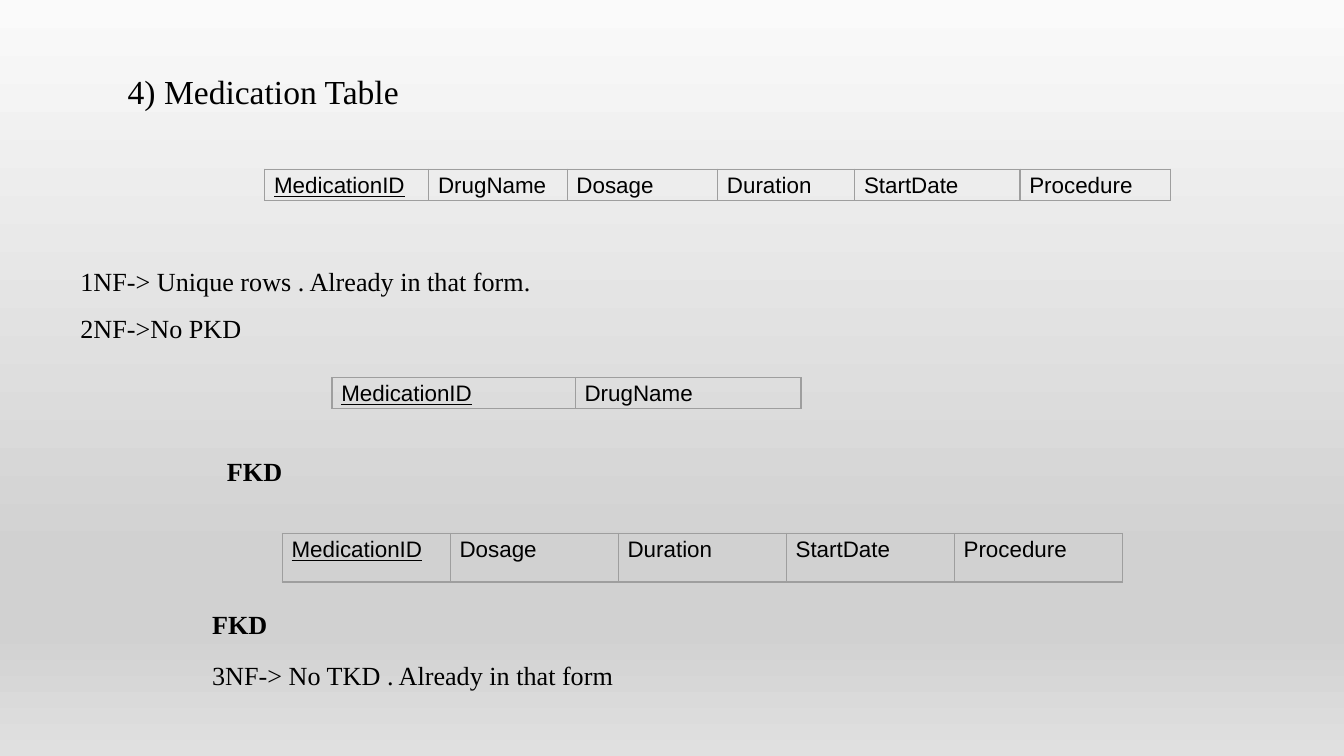
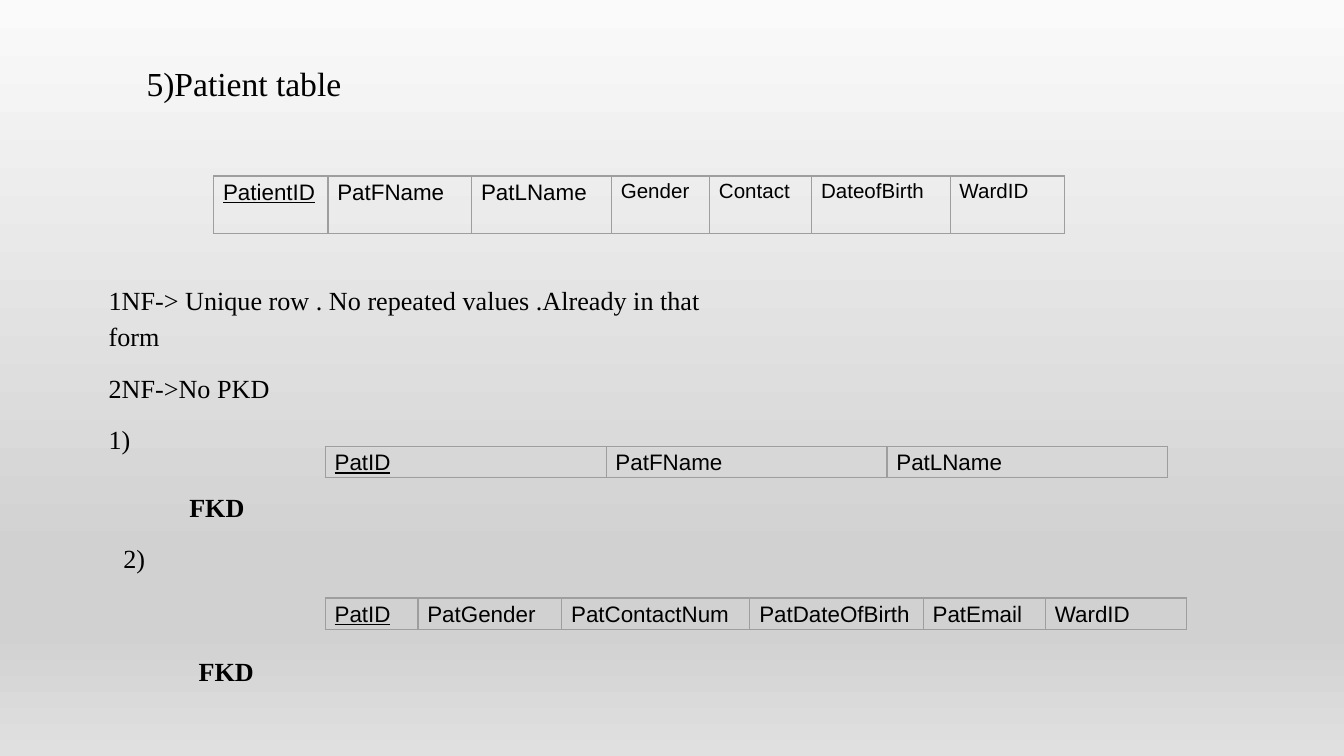
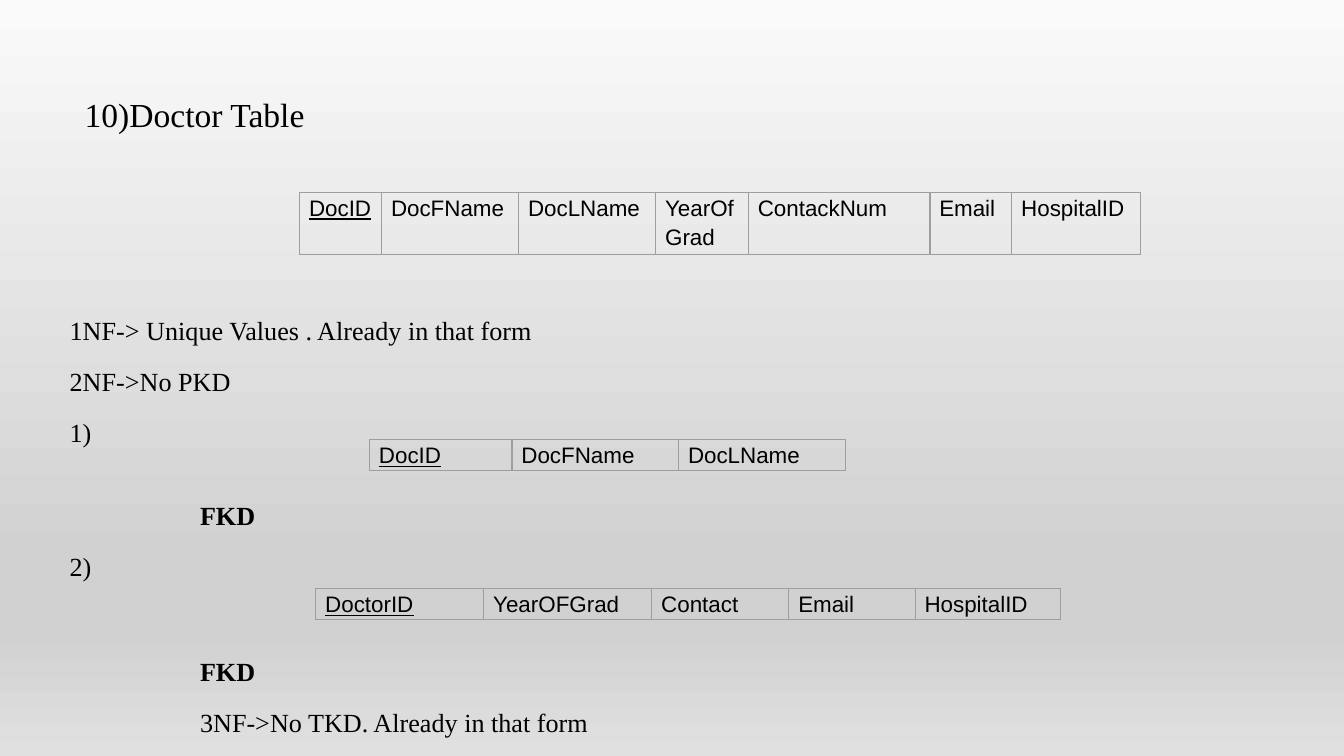
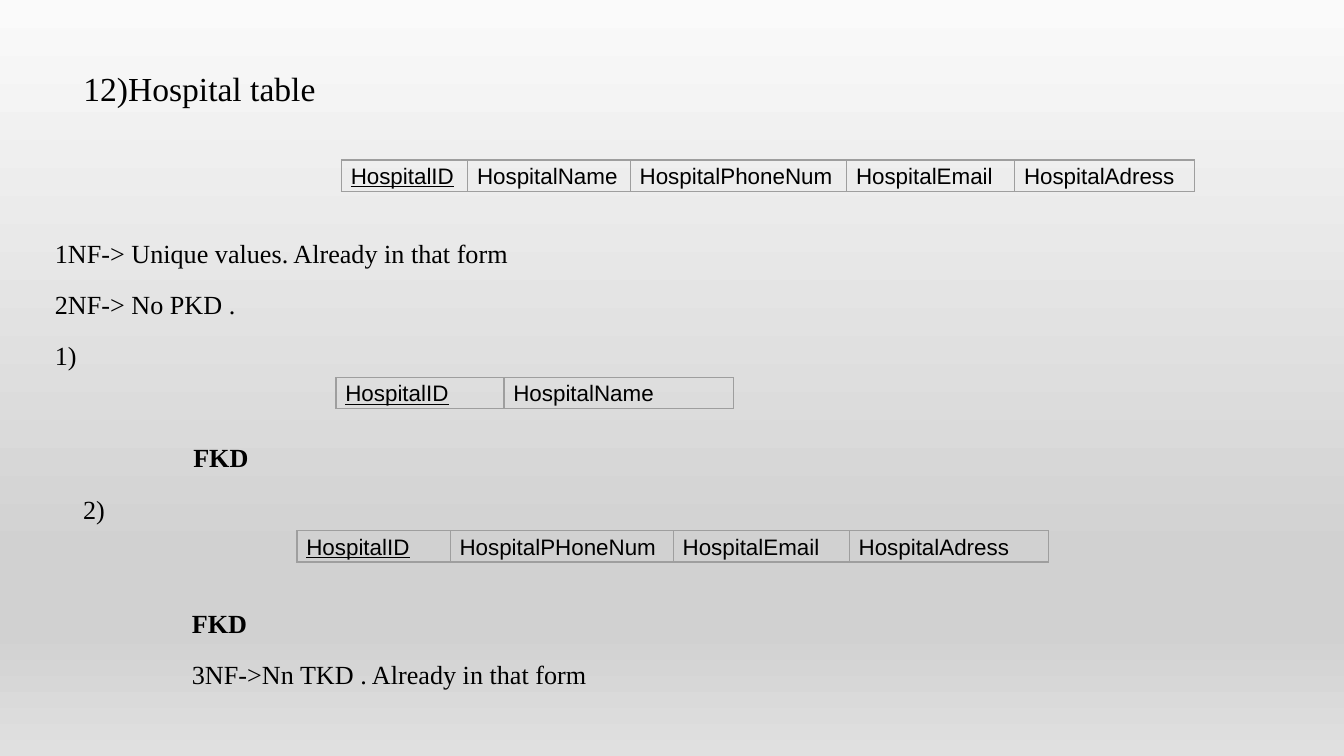
"""Builds four slides that normalise the tables of a hospital database."""
from dataclasses import dataclass

from lxml.etree import SubElement
from pptx import Presentation
from pptx.dml.color import RGBColor
from pptx.enum.text import MSO_ANCHOR as Anchor, MSO_AUTO_SIZE as AutoSize, PP_ALIGN as Align
from pptx.oxml.ns import qn
from pptx.util import Inches, Pt


@dataclass(frozen=True)
class Theme:
    text: RGBColor = RGBColor(0, 0, 0)
    border: str = "9E9E9E"
    background: tuple = ((0, "FAFAFA"), (74, "D1D1D1"), (83, "D1D1D1"), (100, "E0E0E0"))
    body_font: str = "Times New Roman"
    cell_font: str = "Arial"
    title_size: int = 18
    body_size: int = 14
    cell_size: int = 12
    small_cell_size: int = 11
    line_spacing: float = 1.16
    space_after: int = 8
    border_width: float = 0.75


theme = Theme()


def write_line(paragraph, text, font_name, size, bold=False, underline=False):
    """Add one styled run to a left-aligned paragraph."""
    paragraph.alignment = Align.LEFT
    paragraph.line_spacing = theme.line_spacing
    run = paragraph.add_run()
    run.text = text
    run.font.name = font_name
    run.font.size = Pt(size)
    run.font.bold = bold
    run.font.underline = underline
    run.font.color.rgb = theme.text


def add_relation(slide, left, top, height, columns, small_from=99):
    """Add a one-row table of attributes whose first one is the underlined key."""
    width = sum(column_width for name, column_width in columns)
    table = slide.shapes.add_table(
        1, len(columns), Inches(left), Inches(top), Inches(width), Inches(height)).table
    table.first_row = table.horz_banding = False
    table.rows[0].height = Inches(height)
    for index, (name, column_width) in enumerate(columns):
        table.columns[index].width = Inches(column_width)
        cell = table.cell(0, index)
        cell.margin_left = cell.margin_right = Inches(0.07)
        cell.margin_top = cell.margin_bottom = 0
        size = theme.cell_size if index < small_from else theme.small_cell_size
        write_line(cell.text_frame.paragraphs[0], name, theme.cell_font, size,
                   underline=index == 0)
        properties = cell._tc.get_or_add_tcPr()
        for side in ("a:lnL", "a:lnR", "a:lnT", "a:lnB"):
            line = SubElement(properties, qn(side), w=str(Pt(theme.border_width)))
            SubElement(SubElement(line, qn("a:solidFill")), qn("a:srgbClr"), val=theme.border)
        cell.fill.background()


FKD = ("FKD", True, 0)

slides = [
    {
        "title": ("4) Medication Table", 0.85, 0.43, 2.26),
        "relations": [
            (1.97, 1.26, 0.22, [("MedicationID", 1.22), ("DrugName", 1.03), ("Dosage", 1.12),
                                ("Duration", 1.02), ("StartDate", 1.23), ("Procedure", 1.12)]),
            (2.47, 2.81, 0.22, [("MedicationID", 1.81), ("DrugName", 1.68)]),
            (2.1, 3.97, 0.36, [(name, 1.25) for name in (
                "MedicationID", "Dosage", "Duration", "StartDate", "Procedure")]),
        ],
        "notes": [
            (0.5, 1.89, 5, 0.72, [("1NF-> Unique rows . Already in that form.", False, 0),
                                  ("2NF->No PKD", False, 0, 1.0)]),
            (1.59, 3.3, 0.62, 0.36, [FKD]),
            (1.48, 4.44, 5, 0.74, [FKD, ("3NF-> No TKD . Already in that form", False, 0)]),
        ],
    },
    {
        "title": ("5)Patient table", 0.99, 0.37, 1.67),
        "relations": [
            (1.59, 1.31, 0.43, [("PatientID", 0.85), ("PatFName", 1.07), ("PatLName", 1.04),
                                ("Gender", 0.73), ("Contact", 0.76), ("DateofBirth", 1.03),
                                ("WardID", 0.85)], 3),
            (2.42, 3.32, 0.22, [("PatID", 2.09), ("PatFName", 2.09), ("PatLName", 2.09)]),
            (2.42, 4.45, 0.22, [("PatID", 0.69), ("PatGender", 1.07), ("PatContactNum", 1.4),
                                ("PatDateOfBirth", 1.29), ("PatEmail", 0.91),
                                ("WardID", 1.05)]),
        ],
        "notes": [
            (0.71, 2.03, 4.97, 1.4, [
                ("1NF-> Unique row . No repeated values .Already in that form", False, 0),
                ("2NF->No PKD", False, 0), ("1)", False, 0)]),
            (0.82, 3.57, 5, 0.74, [("FKD", True, 0.49), ("2)", False, 0)]),
            (1.38, 4.79, 0.62, 0.36, [FKD]),
        ],
    },
    {
        "title": ("10)Doctor Table", 0.53, 0.6, 1.88),
        "relations": [
            (2.23, 1.43, 0.45, [("DocID", 0.61), ("DocFName", 1.02), ("DocLName", 1.02),
                                ("YearOfGrad", 0.69), ("ContackNum", 1.35), ("Email", 0.61),
                                ("HospitalID", 0.96)]),
            (2.75, 3.27, 0.22, [("DocID", 1.06), ("DocFName", 1.24), ("DocLName", 1.24)]),
            (2.35, 4.38, 0.22, [("DoctorID", 1.25), ("YearOFGrad", 1.25), ("Contact", 1.02),
                                ("Email", 0.94), ("HospitalID", 1.08)]),
        ],
        "notes": [
            (0.42, 2.25, 5, 1.13, [("1NF-> Unique Values . Already in that form", False, 0),
                                   ("2NF->No PKD", False, 0), ("1)", False, 0)]),
            (0.42, 3.63, 5, 0.74, [("FKD", True, 0.97), ("2)", False, 0)]),
            (1.39, 4.79, 5, 0.74, [FKD, ("3NF->No TKD. Already in that form", False, 0)]),
        ],
    },
    {
        "title": ("12)Hospital table", 0.52, 0.41, 1.95),
        "relations": [
            (2.54, 1.19, 0.22, [("HospitalID", 0.94), ("HospitalName", 1.21),
                                ("HospitalPhoneNum", 1.61), ("HospitalEmail", 1.25),
                                ("HospitalAdress", 1.34)]),
            (2.5, 2.81, 0.22, [("HospitalID", 1.25), ("HospitalName", 1.71)]),
            (2.21, 3.95, 0.22, [("HospitalID", 1.14), ("HospitalPHoneNum", 1.66),
                                ("HospitalEmail", 1.31), ("HospitalAdress", 1.48)]),
        ],
        "notes": [
            (0.31, 1.68, 5, 1.13, [("1NF-> Unique values. Already in that form", False, 0),
                                   ("2NF-> No PKD .", False, 0), ("1)", False, 0)]),
            (0.52, 3.2, 5, 0.74, [("FKD", True, 0.82), ("2)", False, 0)]),
            (1.33, 4.43, 5, 0.74, [FKD, ("3NF->Nn TKD . Already in that form", False, 0)]),
        ],
    },
]

presentation = Presentation()
presentation.slide_width = Inches(10)
presentation.slide_height = presentation.slide_width * 9 // 16

master = presentation.slide_master
background_fill = master.background.fill
background_fill.gradient()
background_fill.gradient_angle = 270
stop_list = next(master._element.iter(qn("a:gsLst")))
for stop in list(stop_list):
    stop_list.remove(stop)
for position, colour in theme.background:
    stop = SubElement(stop_list, qn("a:gs"), pos=str(position * 1000))
    SubElement(stop, qn("a:srgbClr"), val=colour)

title_only = presentation.slide_layouts[5]
for content in slides:
    slide = presentation.slides.add_slide(title_only)

    text, left, top, width = content["title"]
    title = slide.shapes.title
    title.left, title.top = Inches(left), Inches(top)
    title.width, title.height = Inches(width), Inches(0.43)
    title.text_frame.vertical_anchor = Anchor.TOP
    title.text_frame.word_wrap = False
    title.text_frame.auto_size = AutoSize.SHAPE_TO_FIT_TEXT
    write_line(title.text_frame.paragraphs[0], text, theme.body_font, theme.title_size)

    for relation in content["relations"]:
        add_relation(slide, *relation)

    for left, top, width, height, lines in content["notes"]:
        note = slide.shapes.add_textbox(Inches(left), Inches(top), Inches(width), Inches(height))
        frame = note.text_frame
        frame.word_wrap = width > 1
        frame.auto_size = AutoSize.SHAPE_TO_FIT_TEXT
        for index, (text, bold, indent, *spacing) in enumerate(lines):
            paragraph = frame.add_paragraph() if index else frame.paragraphs[0]
            write_line(paragraph, text, theme.body_font, theme.body_size, bold=bold)
            paragraph.space_after = Pt(theme.space_after)
            if indent:
                paragraph._p.get_or_add_pPr().set("marL", str(Inches(indent)))
            if spacing:
                paragraph.line_spacing = spacing[0]
                paragraph.space_after = Pt(0)

presentation.save("out.pptx")
